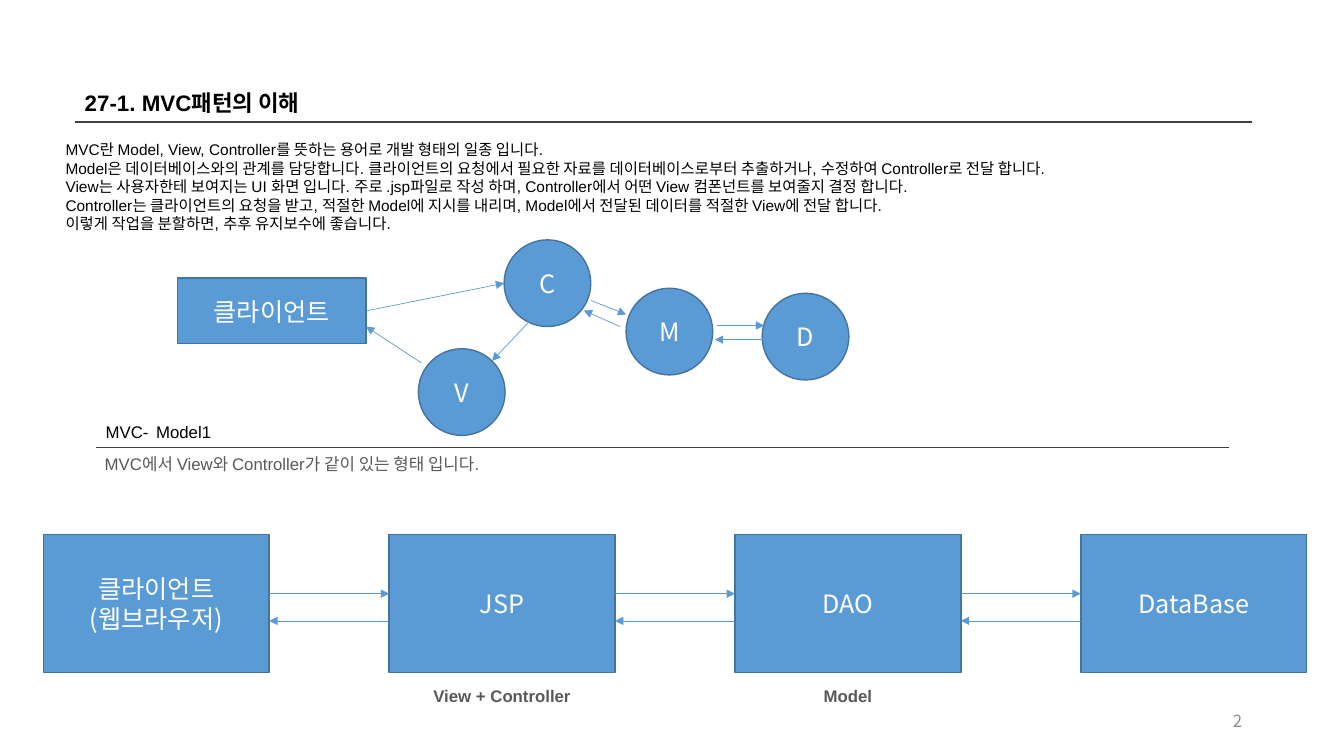
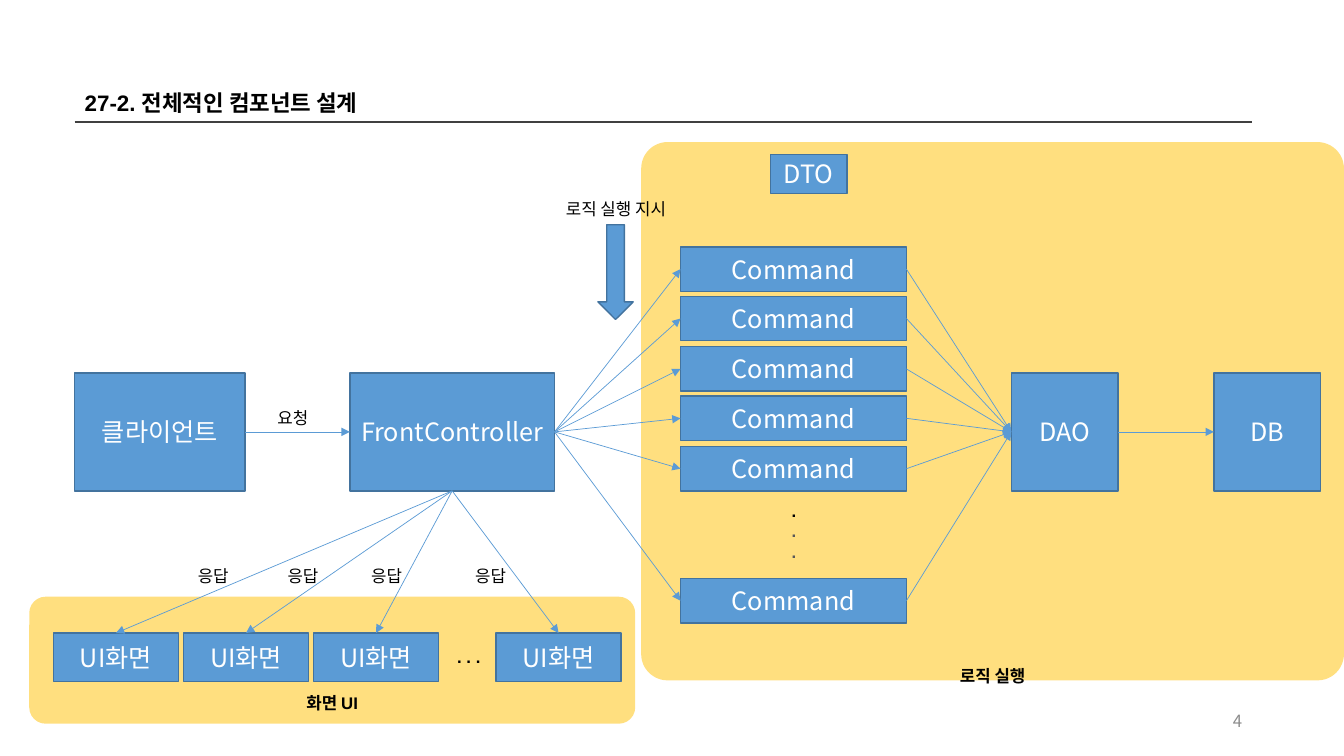
from dataclasses import dataclass
from lxml.etree import SubElement
from pptx import Presentation
from pptx.dml.color import RGBColor
from pptx.enum.shapes import MSO_CONNECTOR, MSO_SHAPE
from pptx.enum.text import MSO_ANCHOR, MSO_AUTO_SIZE, PP_ALIGN
from pptx.oxml.ns import qn
from pptx.util import Pt

SCALE = 9144
TOP, LEFT, BASE, RIGHT = range(4)


@dataclass(frozen=True)
class Look:
    size: int
    color: str
    font: str = "Arial"
    bold: bool = False


@dataclass(frozen=True)
class Theme:
    asian: str = "Noto Sans CJK KR"
    blue: str = "5B9BD5"
    edge: str = "43739E"
    rule: str = "404040"
    gold: str = "FFC000"
    title: Look = Look(16, "000000", bold=True)
    body: Look = Look(11, "000000")
    label: Look = Look(12, "000000")
    strong: Look = Look(12, "000000", bold=True)
    soft: Look = Look(12, "595959")
    role: Look = Look(12, "595959", bold=True)
    node: Look = Look(18, "FFFFFF", "Noto Sans CJK KR")
    page: Look = Look(12, "8C8C8C", "Noto Sans CJK KR")


THEME = Theme()


def px(*sizes):
    return [size * SCALE for size in sizes]


def rgb(code):
    return RGBColor.from_string(code)


def write(shape, rows, align=PP_ALIGN.LEFT, anchor=MSO_ANCHOR.TOP):
    frame = shape.text_frame
    frame.word_wrap = True
    frame.auto_size = MSO_AUTO_SIZE.NONE
    frame.vertical_anchor = anchor
    for i, (text, look) in enumerate(rows):
        para = frame.add_paragraph() if i else frame.paragraphs[0]
        para.alignment = align
        run = para.add_run()
        run.text = text
        font = run.font
        font.size = Pt(look.size)
        font.bold = look.bold
        font.color.rgb = rgb(look.color)
        font.name = look.font
        asian = SubElement(run._r.get_or_add_rPr(), qn("a:ea"))
        asian.set("typeface", THEME.asian)


def place(shape, box):
    shape.left, shape.top, shape.width, shape.height = px(*box)


def label(slide, box, *rows, align=PP_ALIGN.CENTER, anchor=MSO_ANCHOR.TOP):
    write(slide.shapes.add_textbox(*px(*box)), rows, align, anchor)


def node(slide, box, *lines, kind=MSO_SHAPE.RECTANGLE):
    shape = slide.shapes.add_shape(kind, *px(*box))
    shape.shadow.inherit = False
    shape.fill.solid()
    shape.fill.fore_color.rgb = rgb(THEME.blue)
    shape.line.color.rgb = rgb(THEME.edge)
    shape.line.width = Pt(1)
    rows = [(text, THEME.node) for text in lines]
    write(shape, rows, PP_ALIGN.CENTER, MSO_ANCHOR.MIDDLE)
    return shape


def panel(slide, box, curve):
    shape = slide.shapes.add_shape(MSO_SHAPE.ROUNDED_RECTANGLE, *px(*box))
    shape.adjustments[0] = curve
    shape.shadow.inherit = False
    shape.fill.solid()
    shape.fill.fore_color.rgb = rgb(THEME.gold)
    shape.line.fill.background()
    tint = shape._element.spPr.find(qn("a:solidFill"))[0]
    SubElement(tint, qn("a:alpha")).set("val", "50000")


def stroke(slide, start, end, color, width):
    line = slide.shapes.add_connector(MSO_CONNECTOR.STRAIGHT, *start, *end)
    line.line.color.rgb = rgb(color)
    line.line.width = Pt(width)
    SubElement(line._element.spPr, qn("a:effectLst"))
    return line


def rule(slide, x, y, width):
    stroke(slide, px(x, y), px(x + width, y), THEME.rule, 1)


def point(spot):
    first, second = spot
    if isinstance(first, int):
        return px(first, second)
    x, y = first.left, first.top
    wide, high = first.width, first.height
    return {
        TOP: (x + wide // 2, y),
        LEFT: (x, y + high // 2),
        BASE: (x + wide // 2, y + high),
        RIGHT: (x + wide, y + high // 2),
    }[second]


def arrow(slide, start, end):
    line = stroke(slide, point(start), point(end), THEME.blue, 0.5)
    SubElement(line.line._get_or_add_ln(), qn("a:tailEnd")).set("type", "triangle")
    if not isinstance(start[0], int):
        line.begin_connect(*start)
    if not isinstance(end[0], int):
        line.end_connect(*end)


def base(deck, layout, title, page):
    slide = deck.slides.add_slide(deck.slide_layouts[layout])
    place(slide.shapes.title, (74, 83, 1168, 37))
    write(slide.shapes.title, [(title, THEME.title)])
    rule(slide, 74, 121, 1168)
    label(slide, (942, 695, 300, 40), (page, THEME.page),
          align=PP_ALIGN.RIGHT, anchor=MSO_ANCHOR.MIDDLE)
    return slide


def prose(slide, box, lines):
    body = slide.placeholders[1]
    place(body, box)
    write(body, [(text, THEME.body) for text in lines])
    for para in body.text_frame.paragraphs:
        para.space_before = Pt(0)
        props = para._p.get_or_add_pPr()
        props.set("marL", "0")
        props.set("indent", "0")
        SubElement(props, qn("a:buNone"))


def cycle(slide, x, y):
    client = node(slide, (x, y + 38, 187, 65), "클라이언트")
    for dx, dy, name in ((445, 48, "M"), (324, 0, "C"), (239, 108, "V"), (580, 53, "D")):
        node(slide, (x + dx, y + dy, 86, 86), name, kind=MSO_SHAPE.OVAL)
    arrow(slide, (client, RIGHT), (x + 324, y + 43))
    for a, b, c, d in (
        (349, 81, 312, 120), (410, 60, 445, 74), (439, 86, 403, 70),
        (242, 122, 187, 86), (535, 85, 582, 85), (582, 99, 533, 99),
    ):
        arrow(slide, (x + a, y + b), (x + c, y + d))


def model(slide, x, y):
    label(slide, (x, y, 1091, 31), ("MVC-\tModel1", THEME.label), align=PP_ALIGN.LEFT)
    rule(slide, x, y + 31, 1124)
    label(slide, (x - 1, y + 32, 1091, 31),
          ("MVC에서 View와 Controller가 같이 있는 형태 입니다.", THEME.soft),
          align=PP_ALIGN.LEFT)


def chain(slide, x, y):
    wide, high, step = 224, 137, 343
    parts = (
        (("클라이언트", "(웹브라우저)"), ""), (("JSP",), "View + Controller"),
        (("DAO",), "Model"), (("DataBase",), ""),
    )
    for i, (lines, role) in enumerate(parts):
        left = x + i * step
        node(slide, (left, y, wide, high), *lines)
        if role:
            label(slide, (left, y + 145, wide, 30), (role, THEME.role))
        if i:
            prior = left - step + wide
            arrow(slide, (prior, y + 59), (left, y + 59))
            arrow(slide, (left, y + 86), (prior, y + 86))


def request(slide, x, y):
    client = node(slide, (x, y, 169, 117), "클라이언트")
    front = node(slide, (x + 273, y, 203, 117), "FrontController")
    arrow(slide, (client, RIGHT), (front, LEFT))
    label(slide, (x + 182, y + 30, 69, 30), ("요청", THEME.label))
    return front


def logic(slide, x, y, front):
    panel(slide, (x, y, 697, 534), 0.049)
    node(slide, (x + 128, y + 12, 76, 39), "DTO")
    dao = node(slide, (x + 367, y + 229, 106, 117), "DAO")
    store = node(slide, (x + 568, y + 229, 106, 117), "DB")
    arrow(slide, (dao, RIGHT), (store, LEFT))
    for dy in [104 + i * 99 // 2 for i in range(5)] + [433]:
        task = node(slide, (x + 39, y + dy, 224, 44), "Command")
        arrow(slide, (front, RIGHT), (task, LEFT))
        arrow(slide, (task, RIGHT), (dao, LEFT))
    label(slide, (x + 128, y + 351, 47, 71),
          (".", THEME.strong), (".", THEME.role), (".", THEME.role))
    node(slide, (x - 43, y + 82, 35, 94), kind=MSO_SHAPE.DOWN_ARROW)
    label(slide, (x - 98, y + 51, 146, 30), ("로직 실행 지시", THEME.label))
    label(slide, (x + 293, y + 515, 111, 30), ("로직 실행", THEME.strong))


def views(slide, x, y, front):
    panel(slide, (x, y, 601, 126), 0.129)
    for dx, tag in ((24, 148), (153, 237), (282, 320), (463, 423)):
        view = node(slide, (x + dx, y + 36, 124, 48), "UI화면")
        arrow(slide, (front, BASE), (view, TOP))
        label(slide, (x + tag, y - 36, 69, 30), ("응답", THEME.label))
    label(slide, (x + 407, y + 45, 58, 30), (". . .", THEME.strong))
    label(slide, (x + 245, y + 90, 111, 30), ("화면 UI", THEME.strong))


def pattern(deck):
    slide = base(deck, 1, "27-1. MVC패턴의 이해", "2")
    prose(slide, (55, 134, 1168, 103), (
        "MVC란 Model, View, Controller를 뜻하는 용어로 개발 형태의 일종 입니다.",
        "Model은 데이터베이스와의 관계를 담당합니다. 클라이언트의 요청에서 필요한 자료를 "
        "데이터베이스로부터 추출하거나, 수정하여 Controller로 전달 합니다.",
        "View는 사용자한테 보여지는 UI 화면 입니다. 주로 .jsp파일로 작성 하며, "
        "Controller에서 어떤 View 컴폰넌트를 보여줄지 결정 합니다.",
        "Controller는 클라이언트의 요청을 받고, 적절한 Model에 지시를 내리며, "
        "Model에서 전달된 데이터를 적절한 View에 전달 합니다.",
        "이렇게 작업을 분할하면, 추후 유지보수에 좋습니다.",
    ))
    cycle(slide, 176, 238)
    model(slide, 95, 413)
    chain(slide, 43, 530)


def design(deck):
    slide = base(deck, 5, "27-2. 전체적인 컴포넌트 설계", "4")
    front = request(slide, 74, 370)
    logic(slide, 636, 141, front)
    views(slide, 29, 592, front)


def main():
    deck = Presentation()
    deck.slide_width, deck.slide_height = px(1333, 750)
    pattern(deck)
    design(deck)
    deck.save("out.pptx")


if __name__ == "__main__":
    main()
